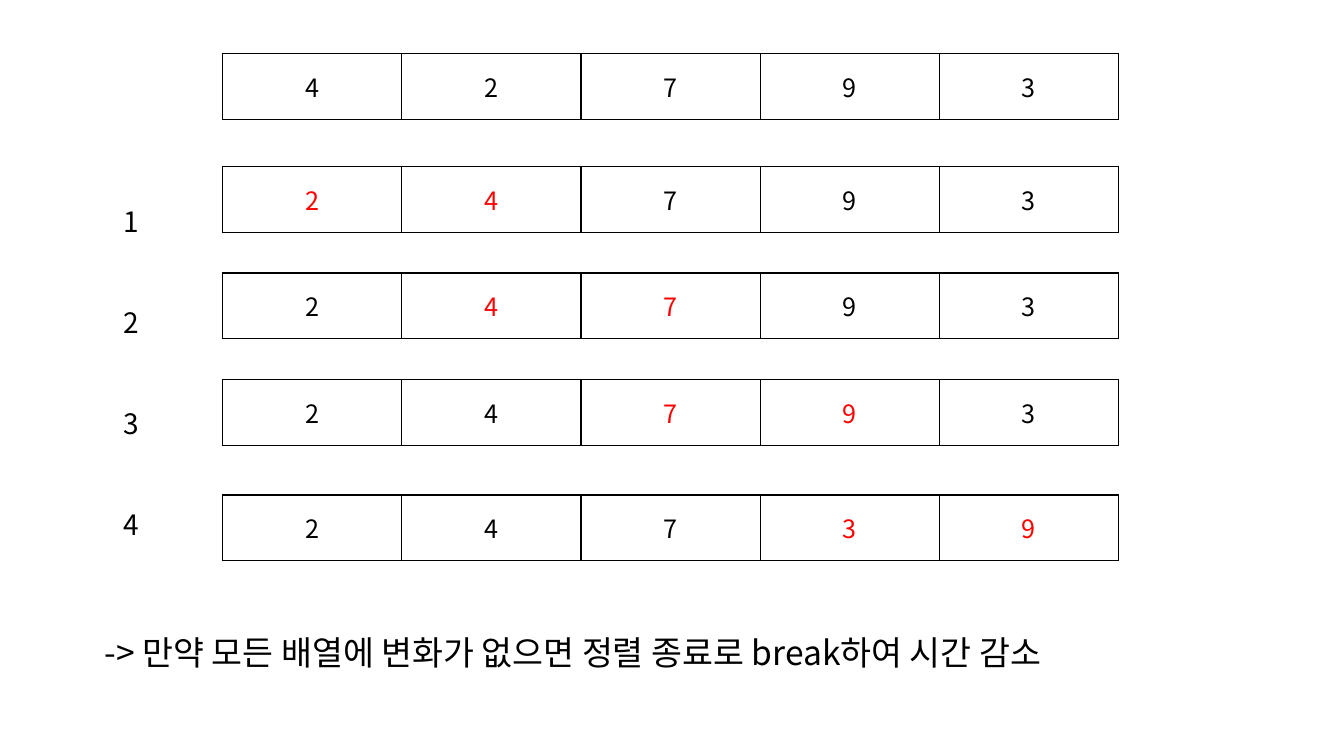
"""Build a slide that shows one pass of bubble sort over five numbers."""
from dataclasses import dataclass

from lxml import etree
from pptx import Presentation
from pptx.dml.color import RGBColor
from pptx.enum.text import MSO_ANCHOR, MSO_AUTO_SIZE, PP_ALIGN
from pptx.oxml.ns import qn
from pptx.slide import Slide
from pptx.table import _Cell
from pptx.text.text import _Paragraph
from pptx.util import Pt

MIDDLE = MSO_ANCHOR.MIDDLE
CENTER = PP_ALIGN.CENTER
LEFT = PP_ALIGN.LEFT
GROW = MSO_AUTO_SIZE.SHAPE_TO_FIT_TEXT


@dataclass(frozen=True)
class Theme:
    font: str = "Noto Sans CJK KR"
    ink: str = "000000"
    swapped: str = "FF0000"
    cell_size: int = 18
    label_size: int = 20
    note_size: int = 24
    line_factor: float = 1.2
    border_width: int = 1


@dataclass(frozen=True)
class ArrayRow:
    top: float
    values: str
    swapped: tuple[int, ...] = ()


@dataclass(frozen=True)
class TextBlock:
    left: float
    top: float
    width: float
    height: float
    size: int
    lines: tuple[str, ...]
    gap: float = 0


THEME = Theme()
SLIDE_WIDTH, SLIDE_HEIGHT = 960, 540
ARRAY_LEFT, CELL_WIDTH, CELL_HEIGHT = 159, 128, 47

ARRAY_ROWS = (
    ArrayRow(38.3, "42793"),
    ArrayRow(118.8, "24793", (0, 1)),
    ArrayRow(195, "24793", (1, 2)),
    ArrayRow(271.3, "24793", (2, 3)),
    ArrayRow(353.5, "24739", (3, 4)),
)

TEXT_BLOCKS = (
    TextBlock(81.2, 142.6, 60.5, 250, THEME.label_size, ("1", "2", "3", "4"), 48),
    TextBlock(67.7, 447.8, 778.3, 36, THEME.note_size,
              ("-> 만약 모든 배열에 변화가 없으면 정렬 종료로 break하여 시간 감소",)),
)


def write_text(paragraph: _Paragraph, text: str, size: int, color: str,
               alignment: PP_ALIGN) -> None:
    """Write one run in the theme font."""
    paragraph.alignment = alignment
    run = paragraph.add_run()
    run.text = text
    font_format = {"name": THEME.font, "size": Pt(size)}
    for attribute, value in font_format.items():
        setattr(run.font, attribute, value)
    run.font.color.rgb = RGBColor.from_string(color)
    east_asian = etree.SubElement(run.font._element, qn("a:ea"))
    east_asian.set("typeface", THEME.font)


def draw_borders(cell: _Cell) -> None:
    """Give all four sides of a cell a solid line."""
    properties = cell._tc.get_or_add_tcPr()
    for position, side in enumerate(("lnL", "lnR", "lnT", "lnB")):
        line = etree.Element(qn(f"a:{side}"), w=str(Pt(THEME.border_width)))
        fill = etree.SubElement(line, qn("a:solidFill"))
        etree.SubElement(fill, qn("a:srgbClr"), val=THEME.ink)
        properties.insert(position, line)


def add_array(slide: Slide, row: ArrayRow) -> None:
    """Add a one-row table with the swapped values in red."""
    count = len(row.values)
    table = slide.shapes.add_table(
        1, count, Pt(ARRAY_LEFT), Pt(row.top),
        Pt(CELL_WIDTH * count), Pt(CELL_HEIGHT)).table
    for attribute, value in {"first_row": False, "horz_banding": False}.items():
        setattr(table, attribute, value)
    for index, number in enumerate(row.values):
        cell = table.cell(0, index)
        cell.vertical_anchor = MIDDLE
        cell.fill.background()
        draw_borders(cell)
        color = THEME.swapped if index in row.swapped else THEME.ink
        write_text(cell.text_frame.paragraphs[0], number, THEME.cell_size,
                   color, CENTER)


def add_text_block(slide: Slide, block: TextBlock) -> None:
    """Add a text box with evenly spaced paragraphs."""
    shape = slide.shapes.add_textbox(
        Pt(block.left), Pt(block.top), Pt(block.width), Pt(block.height))
    frame = shape.text_frame
    for attribute, value in {"word_wrap": True, "auto_size": GROW}.items():
        setattr(frame, attribute, value)
    for index, text in enumerate(block.lines):
        paragraph = frame.add_paragraph() if index else frame.paragraphs[0]
        paragraph_format = {
            "line_spacing": Pt(block.size * THEME.line_factor),
            "space_before": Pt(block.gap if index else 0),
        }
        for attribute, value in paragraph_format.items():
            setattr(paragraph, attribute, value)
        write_text(paragraph, text, block.size, THEME.ink, LEFT)


def main() -> None:
    """Build and save the presentation."""
    presentation = Presentation()
    presentation.slide_width = Pt(SLIDE_WIDTH)
    presentation.slide_height = Pt(SLIDE_HEIGHT)
    slide = presentation.slides.add_slide(presentation.slide_layouts[6])
    for row in ARRAY_ROWS:
        add_array(slide, row)
    for block in TEXT_BLOCKS:
        add_text_block(slide, block)
    presentation.save("out.pptx")


if __name__ == "__main__":
    main()
